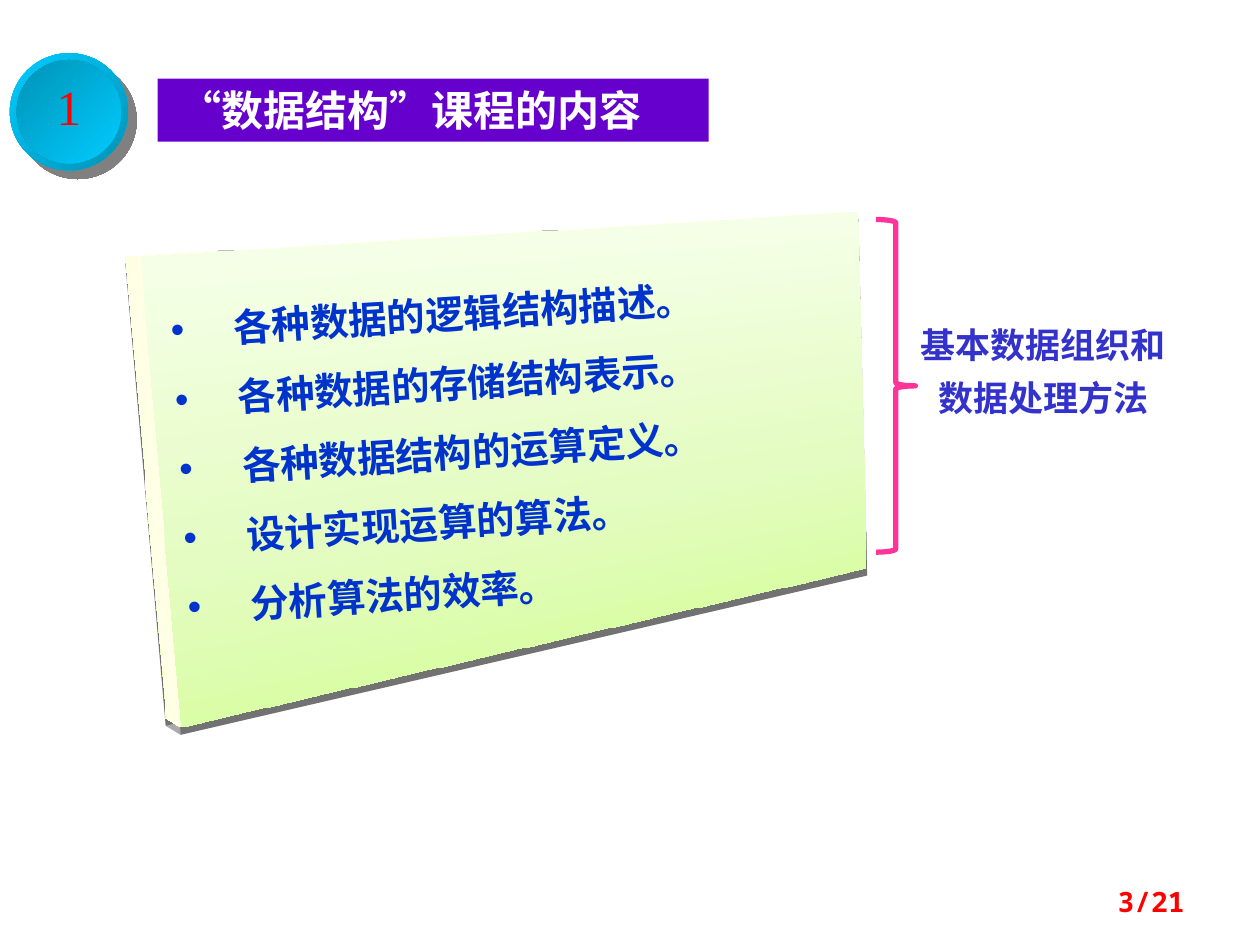
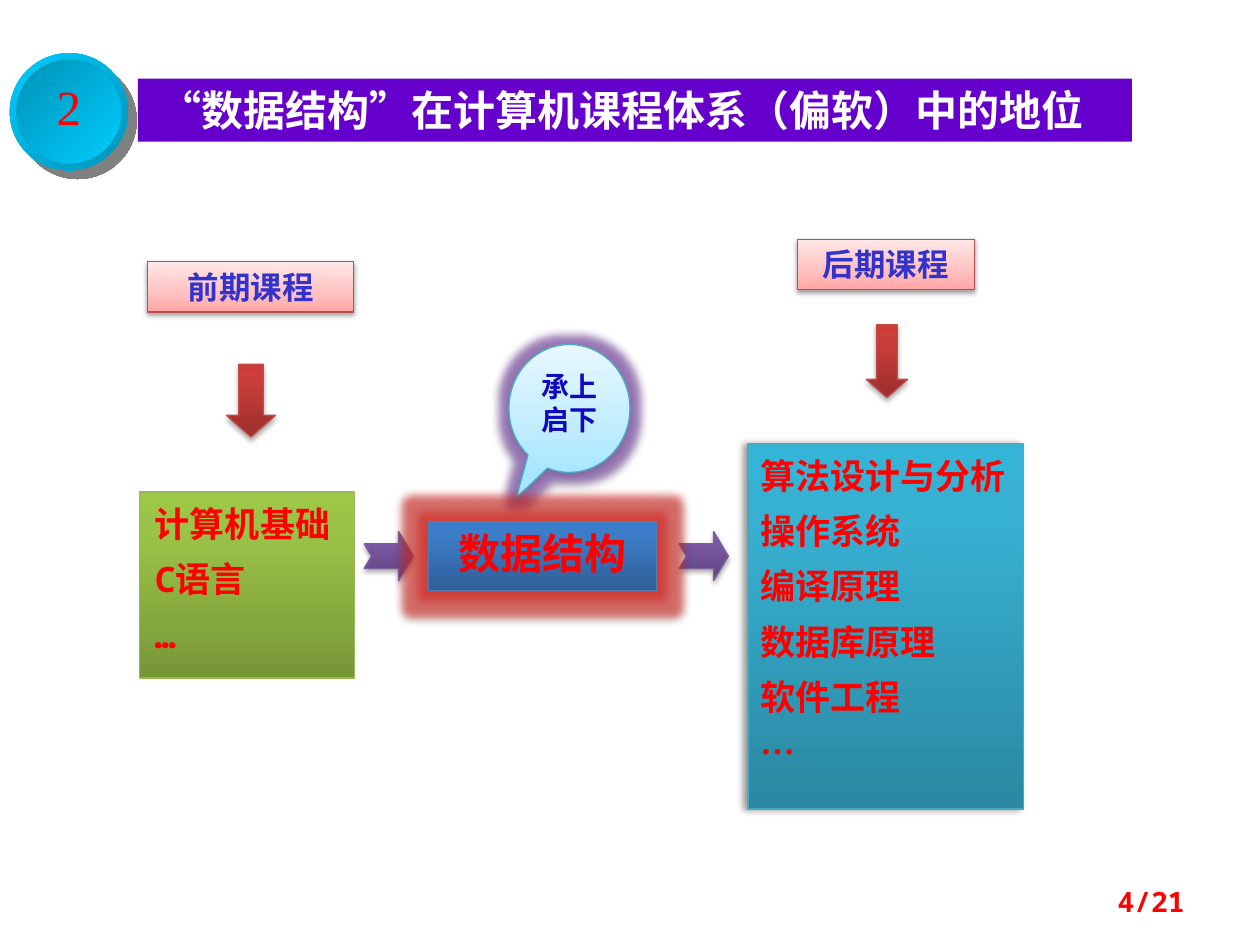
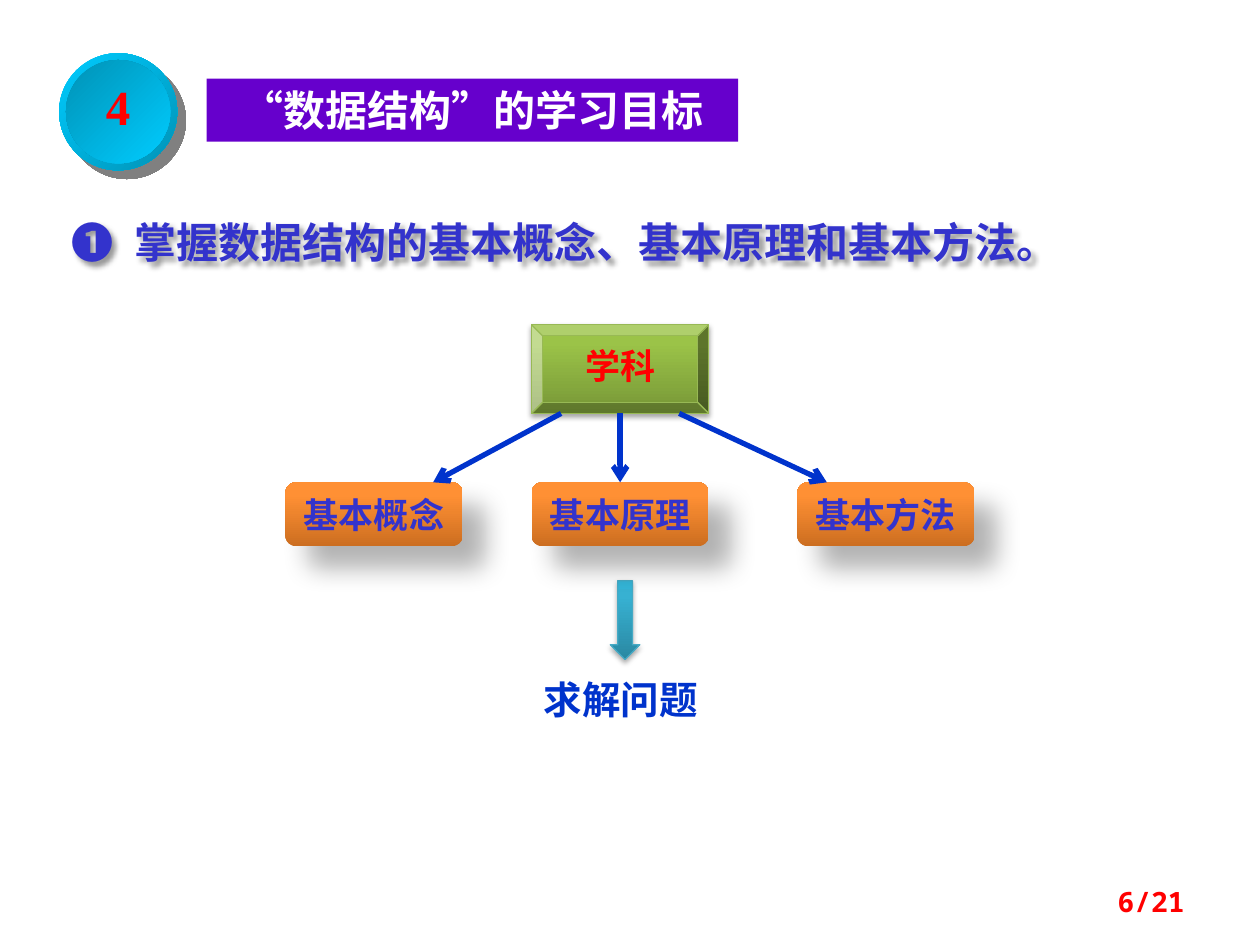
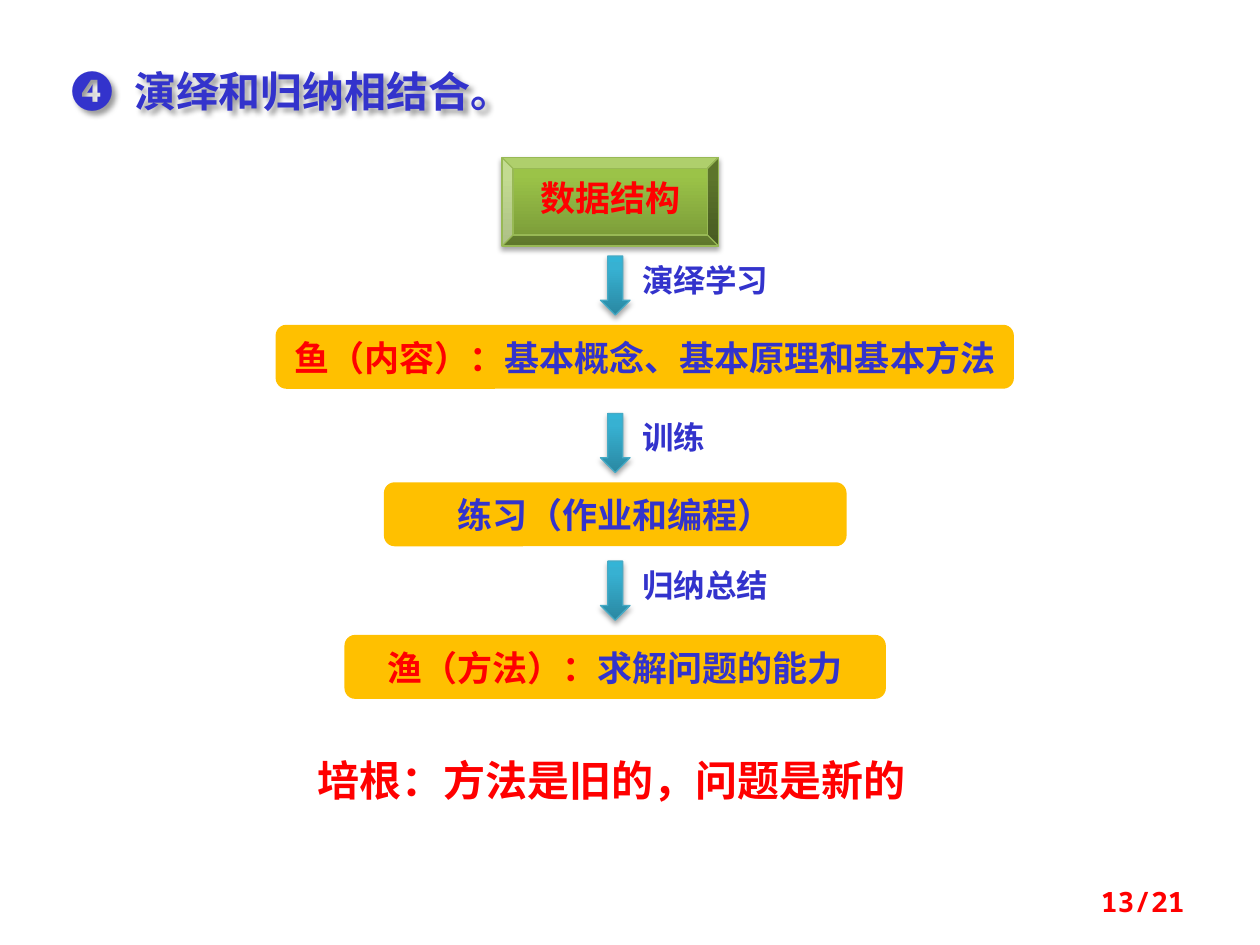
from dataclasses import dataclass

from lxml import etree
from pptx import Presentation
from pptx import util as u
from pptx.dml.color import RGBColor
from pptx.enum import lang, shapes, text
from pptx.oxml import parse_xml
from pptx.oxml.ns import nsdecls, qn


@dataclass(frozen=True)
class Theme:
    sans: str = "Noto Sans CJK SC"
    serif: str = "Times New Roman"
    mono: str = "Noto Sans Mono"

    number: int = 28
    title: int = 24
    strong: int = 22
    body: int = 20
    label: int = 18
    small: int = 16

    white: str = "FFFFFF"
    red: str = "FF0000"
    blue: str = "3333CC"
    bright_blue: str = "0033CC"
    navy: str = "1209BD"
    purple: str = "6600CC"
    pink: str = "FF3399"
    amber: str = "FFC000"

    # Gradients: angle, then (position, colour) stops
    rim: tuple = (45, (0, "00CCFF"), (100, "0092B6"))
    dial: tuple = (45, (0, "0092B6"), (100, "00CCFF"))
    lime: tuple = (270, (0, "DAFDA7"), (35, "E4FCC2"), (100, "F5FFE7"))
    rose: tuple = (270, (0, "FFA6A5"), (35, "FFC0BF"), (100, "FFE7E7"))
    ice: tuple = (270, (0, "A7E6FF"), (35, "C1EDFF"), (100, "E7F8FF"))
    green: tuple = (270, (0, "779737"), (80, "9BC348"), (100, "9DC746"))
    brick: tuple = (270, (0, "9C2F2D"), (80, "CB3E3A"), (100, "CE3B37"))
    teal: tuple = (270, (0, "2A88A2"), (80, "37B1D2"), (100, "34B4D6"))
    violet: tuple = (270, (0, "5F4480"), (80, "7B58A6"), (100, "7C57A8"))
    steel: tuple = (270, (0, "2F5F99"), (80, "3D7CC7"), (100, "3A7CCB"))
    orange: tuple = (270, (0, "CC6E20"), (80, "FF9034"), (100, "FF9136"))

    green_edge: str = "98B955"
    brick_edge: str = "BF4C48"
    teal_edge: str = "46AAC5"
    violet_edge: str = "7D60A0"
    steel_edge: str = "4B7EBC"

    # Shadows: colour, opacity, blur, distance, direction
    soft: tuple = ("000000", 38, 3.1, 1.6, 90)
    firm: tuple = ("000000", 35, 3.1, 1.8, 90)
    left: tuple = ("000000", 40, 4, 3, 180)
    long: tuple = ("000000", 30, 15, 18, 45)
    wide: tuple = ("000000", 33, 17.8, 4, 87)
    badge: tuple = ("020202", 50, 0, 7.1, 45)
    heading: tuple = ("000000", 40, 3, 3, 45)
    red_glow: str = "D92B25"
    purple_glow: str = "7A45A8"


theme = Theme()
kinds = shapes.MSO_SHAPE
aligns = text.PP_ALIGN
anchors = text.MSO_ANCHOR

presentation = Presentation()
presentation.slide_width, presentation.slide_height = u.Inches(10), u.Inches(7.5)
COLUMNS = 128  # square cells, so the slide is 96 rows high
cell = presentation.slide_width / COLUMNS


def draw(slide, kind, box, fill=None, line=None, width=0.75, shadow=None, glow=None, adjust=()):
    """Add a shape, or a text box when kind is None; box is in grid cells."""
    place = [round(value * cell) for value in box]
    if kind is None:
        shape = slide.shapes.add_textbox(*place)
    else:
        shape = slide.shapes.add_shape(kind, *place)
    for index, value in enumerate(adjust):
        shape.adjustments[index] = value

    if isinstance(fill, tuple):
        shape.fill.gradient()
        gradient = shape.fill._xPr.find(qn("a:gradFill"))
        gradient.find(qn("a:lin")).set("ang", str(fill[0] * 60000))
        stops = gradient.find(qn("a:gsLst"))
        stops.clear()
        for position, color in fill[1:]:
            stop = etree.SubElement(stops, qn("a:gs"), pos=str(position * 1000))
            etree.SubElement(stop, qn("a:srgbClr"), val=color)
    elif fill:
        shape.fill.solid()
        shape.fill.fore_color.rgb = RGBColor.from_string(fill)
    else:
        shape.fill.background()

    if line:
        shape.line.color.rgb = RGBColor.from_string(line)
        shape.line.width = u.Pt(width)
    else:
        shape.line.fill.background()

    shape.shadow.inherit = False
    effects = shape._element.spPr.find(qn("a:effectLst"))
    if glow:
        halo = etree.SubElement(effects, qn("a:glow"), rad=str(u.Pt(10)))
        color = etree.SubElement(halo, qn("a:srgbClr"), val=glow)
        etree.SubElement(color, qn("a:alpha"), val="60000")
    if shadow:
        tone, opacity, blur, distance, direction = shadow
        cast = etree.SubElement(
            effects, qn("a:outerShdw"), blurRad=str(u.Pt(blur)), dist=str(u.Pt(distance)),
            dir=str(direction * 60000), algn="ctr", rotWithShape="0")
        color = etree.SubElement(cast, qn("a:srgbClr"), val=tone)
        etree.SubElement(color, qn("a:alpha"), val=str(opacity * 1000))
    return shape


def write(shape, words, size=theme.body, font=theme.sans, color=theme.blue, bold=True,
          align=aligns.LEFT, anchor=anchors.TOP, spacing=None, before=0.5, inset=(0.1, 0.05, 0.1, 0.05),
          wrap=True, grow=True, hang=0, bullet=None, lead=""):
    """Fill a shape with one paragraph a line; lead is a red opening, before a share of the size."""
    frame = shape.text_frame
    frame.word_wrap = wrap
    frame.vertical_anchor = anchor
    frame.auto_size = text.MSO_AUTO_SIZE.SHAPE_TO_FIT_TEXT if grow else text.MSO_AUTO_SIZE.NONE
    (frame.margin_left, frame.margin_top,
     frame.margin_right, frame.margin_bottom) = map(u.Inches, inset)
    for number, content in enumerate(words.split("\n")):
        paragraph = frame.add_paragraph() if number else frame.paragraphs[0]
        paragraph.alignment = align
        paragraph.space_before = u.Pt(size * before)
        if spacing:
            paragraph.line_spacing = spacing
        properties = paragraph._p.get_or_add_pPr()
        if hang:
            properties.set("marL", str(u.Inches(hang)))
            properties.set("indent", str(-u.Inches(hang)))
        if bullet:
            etree.SubElement(properties, qn("a:buFont"), typeface="Arial")
            etree.SubElement(properties, qn("a:buChar"), char=bullet)
        for part, tone in ((lead, theme.red), (content, color)):
            if not part:
                continue
            run = paragraph.add_run()
            run.text = part
            run.font.size, run.font.name, run.font.bold = u.Pt(size), font, bold
            run.font.color.rgb = RGBColor.from_string(tone)
            run.font.language_id = lang.MSO_LANGUAGE_ID.SIMPLIFIED_CHINESE
            run.font._element.find(qn("a:latin")).addnext(
                parse_xml(f'<a:ea {nsdecls("a")} typeface="{theme.sans}"/>'))


# Shared parts: page number, numbered badge and title band
centered = dict(align=aligns.CENTER, anchor=anchors.MIDDLE, spacing=0.8, grow=False)
in_band = dict(centered, font=theme.serif, inset=(0.1, 0.12, 0.1, 0.05))
tight = dict(spacing=0.8)
middle_title = dict(align=aligns.CENTER)

pages = [
    # page, badge number, badge column, badge bold, title, title column, title width, title format
    (3, "1", 1, False, " “数据结构”课程的内容", 16, 56, {}),
    (4, "2", 1, False, " “数据结构”在计算机课程体系（偏软）中的地位", 14, 101, {}),
    (6, "4", 6, True, "“数据结构”的学习目标", 21, 54, middle_title),
    (13, None, 0, False, None, 0, 0, {}),
]
slides = []
for page, number, column, bold, title, title_column, title_width, title_format in pages:
    slide = presentation.slides.add_slide(presentation.slide_layouts[6])
    slides.append(slide)
    write(draw(slide, None, (91.8, 89, 29.8, 5.1)), f"{page}/21", size=theme.small,
          font=theme.mono, color=theme.red, align=aligns.RIGHT, anchor=anchors.MIDDLE,
          before=0, grow=False)
    if title:
        band = draw(slide, kinds.RECTANGLE, (title_column, 8, title_width, 6.4), theme.purple)
        write(band, title, size=theme.title, color=theme.white, **title_format)
        draw(slide, kinds.OVAL, (column, 5.4, 12, 11.9), theme.rim, shadow=theme.badge)
        dial = draw(slide, kinds.OVAL, (column + 0.7, 6.1, 10.6, 10.5), theme.dial)
        write(dial, number, size=theme.number, font=theme.serif, color=theme.red, bold=bold,
              wrap=False, **centered)
content_slide, position_slide, goal_slide, method_slide = slides

# Slide 1: course content on a tilted panel
panel = draw(content_slide, kinds.RECTANGLE, (15, 23.4, 85, 41.6), theme.lime, shadow=theme.wide)
write(panel, "各种数据的逻辑结构描述。\n各种数据的存储结构表示。\n各种数据结构的运算定义。\n"
             "设计实现运算的算法。\n分析算法的效率。",
      size=theme.strong, color=theme.bright_blue, spacing=1.5, before=0,
      inset=(0.24,) * 4, hang=0.5, bullet="•")
panel._element.spPr.append(parse_xml(
    f'<a:scene3d {nsdecls("a")}><a:camera prst="perspectiveFront" fov="3300000">'
    '<a:rot lat="486000" lon="19530000" rev="174000"/></a:camera>'
    '<a:lightRig rig="harsh" dir="t"><a:rot lat="0" lon="0" rev="3000000"/></a:lightRig>'
    '</a:scene3d>'))
panel._element.spPr.append(parse_xml(
    f'<a:sp3d {nsdecls("a")} extrusionH="254000" contourW="19050">'
    '<a:bevelT w="82550" h="44450" prst="angle"/><a:bevelB w="82550" h="44450" prst="angle"/>'
    f'<a:contourClr><a:srgbClr val="{theme.white}"/></a:contourClr></a:sp3d>'))
draw(content_slide, kinds.RIGHT_BRACE, (89, 22.3, 4, 33.8), line=theme.pink, width=3)
write(draw(content_slide, None, (92, 31.2, 28, 11.5)), "基本数据组织和数据处理方法",
      align=aligns.CENTER, spacing=u.Pt(30))

# Slide 2: earlier courses, data structures, later courses
for caption, box in (("前期课程", (15, 26.6, 20.9, 5.1)), ("后期课程", (81, 24.3, 18, 5.1))):
    tag = draw(position_slide, kinds.RECTANGLE, box, theme.rose, theme.brick_edge, shadow=theme.soft)
    write(tag, caption, size=theme.label, align=aligns.CENTER, before=0)
for box in ((23, 37, 5, 7.4), (88, 33, 4.2, 7.4)):
    draw(position_slide, kinds.DOWN_ARROW, box, theme.brick, theme.brick_edge,
         shadow=theme.firm, adjust=(0.5, 0.44))
for column in (37, 69):
    draw(position_slide, kinds.NOTCHED_RIGHT_ARROW, (column, 54, 5, 5), theme.violet,
         theme.violet_edge, shadow=theme.firm, adjust=(0.5, 0.3))

earlier = draw(position_slide, kinds.RECTANGLE, (14.2, 50, 21.8, 18.9), theme.green, theme.green_edge)
write(earlier, "计算机基础\nC语言\n…", font=theme.mono, color=theme.red, spacing=0.9,
      inset=(0.12,) * 4)
later = draw(position_slide, kinds.RECTANGLE, (76, 45.1, 28, 37.1), theme.teal, theme.teal_edge,
             shadow=theme.left)
write(later, "算法设计与分析\n操作系统\n编译原理\n数据库原理\n软件工程\n…", color=theme.red,
      spacing=0.9, inset=(0.1, 0.12, 0.1, 0.12))
callout = draw(position_slide, kinds.OVAL_CALLOUT, (51.7, 35, 12.3, 13), theme.ice, theme.teal_edge,
               shadow=theme.soft, glow=theme.purple_glow, adjust=(-0.44, 0.7))
write(callout, "承上启下", size=theme.small, color=theme.navy, align=aligns.CENTER, before=0, grow=False)
core = draw(position_slide, kinds.RECTANGLE, (43.5, 53, 23.2, 7), theme.steel, theme.steel_edge,
            shadow=theme.firm, glow=theme.red_glow)
write(core, "数据结构", size=theme.title, color=theme.red, align=aligns.CENTER)

# Slides 3 and 4: numbered heading, root block and teal arrows
for slide, heading, heading_box, root, root_box, arrow_boxes in (
    (goal_slide, "❶\t掌握数据结构的基本概念、基本原理和基本方法。", (6, 21.4, 110, 6.4),
     "学科", (54, 33, 18, 9), [(62, 59, 3, 8)]),
    (method_slide, "❹\t演绎和归纳相结合。", (6, 6, 48, 6.4),
     "数据结构", (51, 16, 22, 9), [(61, row, 3, 6) for row in (26, 42, 57)]),
):
    write(draw(slide, None, heading_box, shadow=theme.heading), heading, size=theme.title,
          font=theme.serif, hang=0.5)
    block = draw(slide, kinds.BEVEL, root_box, theme.green, theme.green_edge, shadow=theme.firm)
    write(block, root, color=theme.red, **centered)
    for box in arrow_boxes:
        draw(slide, kinds.DOWN_ARROW, box, theme.teal, theme.teal_edge, shadow=theme.firm)

# Slide 3: the subject branches into three parts
for name, column, start, end in (("基本概念", 29, 57, 44), ("基本原理", 54, 63, 63),
                                 ("基本方法", 81, 69, 84)):
    node = draw(goal_slide, kinds.ROUNDED_RECTANGLE, (column, 49, 18, 6.5), theme.orange,
                shadow=theme.long)
    write(node, name, **in_band)
    branch = goal_slide.shapes.add_connector(
        shapes.MSO_CONNECTOR.STRAIGHT, *[round(value * cell) for value in (start, 42, end, 49)])
    if end == column + 9:
        branch.end_connect(node, 0)
    branch.line.color.rgb = RGBColor.from_string(theme.bright_blue)
    branch.line.width = u.Pt(3)
    etree.SubElement(branch.line._get_or_add_ln(), qn("a:tailEnd"), type="arrow")
    etree.SubElement(branch._element.spPr, qn("a:effectLst"))
write(draw(goal_slide, None, (54, 69, 20, 5.1)), "求解问题", size=theme.strong,
      color=theme.bright_blue, **tight)

# Slide 4: from content through practice to method
for lead, words, box in (
    ("鱼（内容）：", "基本概念、基本原理和基本方法", (28, 33, 75, 6.5)),
    ("", "练习（作业和编程）", (39, 49, 47, 6.5)),
    ("渔（方法）：", "求解问题的能力", (35, 64.5, 55, 6.5)),
):
    write(draw(method_slide, kinds.ROUNDED_RECTANGLE, box, theme.amber), words, lead=lead, **in_band)
for step, row, width in (("演绎学习", 26.6, 16), ("训练", 42.6, 11), ("归纳总结", 57.6, 16)):
    write(draw(method_slide, None, (64, row, width, 4.4)), step, size=theme.label,
          font=theme.serif, **tight)
write(draw(method_slide, None, (31, 77, 67, 5.4)), "培根：方法是旧的，问题是新的",
      size=theme.title, color=theme.red, **tight)

presentation.save("out.pptx")
